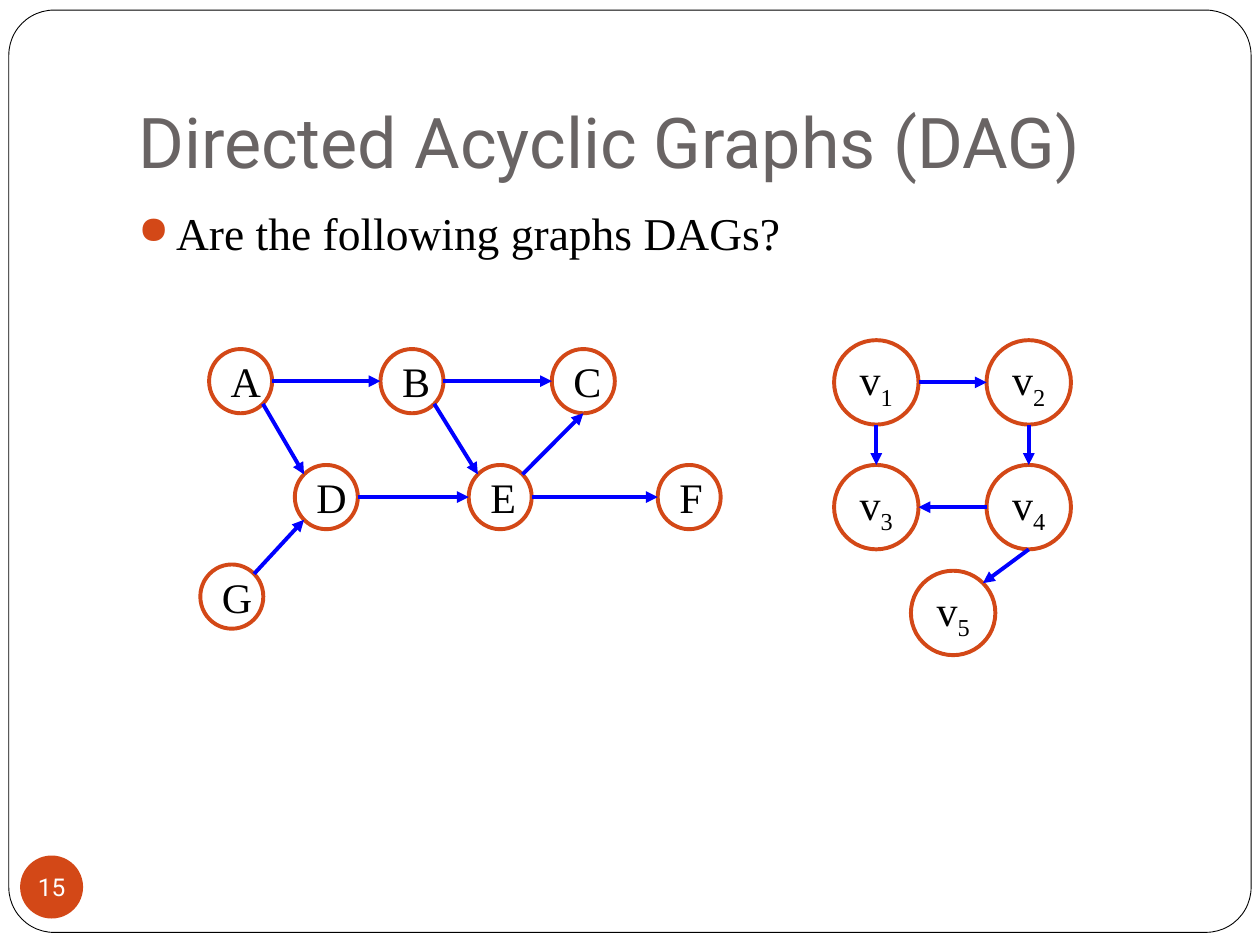
from dataclasses import dataclass
from enum import Enum
from math import sqrt

from lxml.etree import SubElement
from pptx import Presentation
from pptx.dml.color import RGBColor
from pptx.enum.shapes import MSO_CONNECTOR, MSO_SHAPE
from pptx.enum.text import MSO_ANCHOR, PP_ALIGN
from pptx.oxml.ns import qn
from pptx.util import Inches, Pt


@dataclass(frozen=True)
class Theme:
    accent: RGBColor = RGBColor(0xD3, 0x48, 0x17)
    edge: RGBColor = RGBColor(0x00, 0x00, 0xFF)
    title: RGBColor = RGBColor(0x69, 0x64, 0x64)
    ink: RGBColor = RGBColor(0x00, 0x00, 0x00)
    paper: RGBColor = RGBColor(0xFF, 0xFF, 0xFF)
    heading_font: str = "Roboto"
    body_font: str = "Times New Roman"
    title_size: float = 40
    question_size: float = 26
    node_size: float = 24
    number_size: float = 14
    stroke: float = 2.25
    frame_stroke: float = 0.5


THEME = Theme()
DIAGONAL = sqrt(0.5)


class Site(Enum):
    """Points on a node's rim, as offsets in radii from its centre."""
    N = (0, -1)
    E = (1, 0)
    S = (0, 1)
    W = (-1, 0)
    NE = (DIAGONAL, -DIAGONAL)
    SE = (DIAGONAL, DIAGONAL)
    SW = (-DIAGONAL, DIAGONAL)
    NW = (-DIAGONAL, -DIAGONAL)


@dataclass(frozen=True)
class Node:
    letter: str
    left: float
    top: float
    width: float
    height: float
    subscript: str = ""

    def rim(self, site: Site) -> tuple:
        dx, dy = site.value
        return (Inches(self.left + self.width / 2 * (1 + dx)),
                Inches(self.top + self.height / 2 * (1 + dy)))


@dataclass(frozen=True)
class Edge:
    source: str
    leaves: Site
    target: str
    enters: Site


def style_font(font, name: str, size: float, color: RGBColor) -> None:
    font.name, font.size = name, Pt(size)
    font.color.rgb = color


def add_plain_shape(shapes, preset, left, top, width, height):
    shape = shapes.add_shape(preset, Inches(left), Inches(top), Inches(width), Inches(height))
    shape.shadow.inherit = False
    return shape


def add_text(shapes, text, left, top, width, height):
    box = shapes.add_textbox(Inches(left), Inches(top), Inches(width), Inches(height))
    box.text_frame.word_wrap = True
    box.text_frame.text = text
    return box.text_frame


def draw_node(shapes, node: Node) -> None:
    circle = add_plain_shape(shapes, MSO_SHAPE.OVAL, node.left, node.top, node.width, node.height)
    circle.fill.background()
    circle.line.color.rgb = THEME.accent
    circle.line.width = Pt(THEME.stroke)
    circle.text_frame.vertical_anchor = MSO_ANCHOR.MIDDLE
    label = circle.text_frame.paragraphs[0]
    label.alignment = PP_ALIGN.CENTER
    style_font(label.font, THEME.body_font, THEME.node_size, THEME.ink)
    label.add_run().text = node.letter
    if node.subscript:
        index = label.add_run()
        index.text = node.subscript
        index._r.get_or_add_rPr().set("baseline", "-25000")


def draw_edge(shapes, nodes: dict, edge: Edge) -> None:
    start = nodes[edge.source].rim(edge.leaves)
    end = nodes[edge.target].rim(edge.enters)
    arrow = shapes.add_connector(MSO_CONNECTOR.STRAIGHT, *start, *end)
    arrow.line.color.rgb = THEME.edge
    arrow.line.width = Pt(THEME.stroke)
    SubElement(arrow.line._get_or_add_ln(), qn("a:tailEnd"), type="triangle")
    SubElement(arrow._element.spPr, qn("a:effectLst"))


def draw_graph(slide, nodes: dict, edges: list) -> None:
    graph = slide.shapes.add_group_shape()
    for node in nodes.values():
        draw_node(graph.shapes, node)
    for edge in edges:
        draw_edge(graph.shapes, nodes, edge)


deck = Presentation()
deck.slide_width, deck.slide_height = Inches(10), Inches(7.5)
slide = deck.slides.add_slide(deck.slide_layouts[6])

# Rounded frame
frame = add_plain_shape(slide.shapes, MSO_SHAPE.ROUNDED_RECTANGLE, 0.07, 0.08, 9.86, 7.32)
frame.adjustments[0] = 0.049
frame.fill.solid()
frame.fill.fore_color.rgb = THEME.paper
frame.line.color.rgb = THEME.ink
frame.line.width = Pt(THEME.frame_stroke)

# Title
title = add_text(slide.shapes, "Directed Acyclic Graphs (DAG)", 1, 0.3, 8.5, 1.25)
title.vertical_anchor = MSO_ANCHOR.BOTTOM
title.margin_bottom = Inches(0.1)
style_font(title.paragraphs[0].font, THEME.heading_font, THEME.title_size, THEME.title)

# Page number badge
badge = add_plain_shape(slide.shapes, MSO_SHAPE.OVAL, 0.16, 6.79, 0.5, 0.5)
badge.fill.solid()
badge.fill.fore_color.rgb = THEME.accent
badge.line.fill.background()
number = badge.text_frame
number.text = "15"
number.word_wrap = False
number.vertical_anchor = MSO_ANCHOR.MIDDLE
number.margin_left = number.margin_right = number.margin_top = number.margin_bottom = 0
number.paragraphs[0].alignment = PP_ALIGN.CENTER
style_font(number.paragraphs[0].font, THEME.heading_font, THEME.number_size, THEME.paper)

# Bulleted question
question = add_text(slide.shapes, "Are the following graphs DAGs?", 1, 1.58, 8.5, 5).paragraphs[0]
question.space_before = Pt(5.8)
bullet = question._p.get_or_add_pPr()
bullet.set("marL", str(Inches(0.3)))
bullet.set("indent", str(Inches(-0.3)))
SubElement(SubElement(bullet, qn("a:buClr")), qn("a:srgbClr"), val=str(THEME.accent))
SubElement(bullet, qn("a:buSzPct"), val="85000")
SubElement(bullet, qn("a:buChar"), char="●")
style_font(question.font, THEME.body_font, THEME.question_size, THEME.ink)

# Numbered graph
numbered_places = {"1": (6.62, 2.7), "2": (7.83, 2.7), "3": (6.62, 3.69),
                   "4": (7.83, 3.69), "5": (7.23, 4.53)}
numbered_nodes = {index: Node("v", left, top, 0.67, 0.67, index)
                  for index, (left, top) in numbered_places.items()}
draw_graph(slide, numbered_nodes, [
    Edge("1", Site.E, "2", Site.W),
    Edge("1", Site.S, "3", Site.N),
    Edge("4", Site.W, "3", Site.E),
    Edge("2", Site.S, "4", Site.N),
    Edge("4", Site.S, "5", Site.NE),
])

# Lettered graph
lettered_places = {"A": (1.66, 2.77), "B": (3.02, 2.77), "C": (4.38, 2.77), "D": (2.34, 3.69),
                   "E": (3.72, 3.69), "F": (5.22, 3.69), "G": (1.59, 4.48)}
lettered_nodes = {letter: Node(letter, left, top, 0.5, 0.51)
                  for letter, (left, top) in lettered_places.items()}
draw_graph(slide, lettered_nodes, [
    *(Edge(source, Site.E, target, Site.W) for source, target in ("AB", "BC", "DE", "EF")),
    *(Edge(source, Site.SE, target, Site.NW) for source, target in ("AD", "BE")),
    Edge("E", Site.NE, "C", Site.S),
    Edge("G", Site.NE, "D", Site.SW),
])

deck.save("out.pptx")
